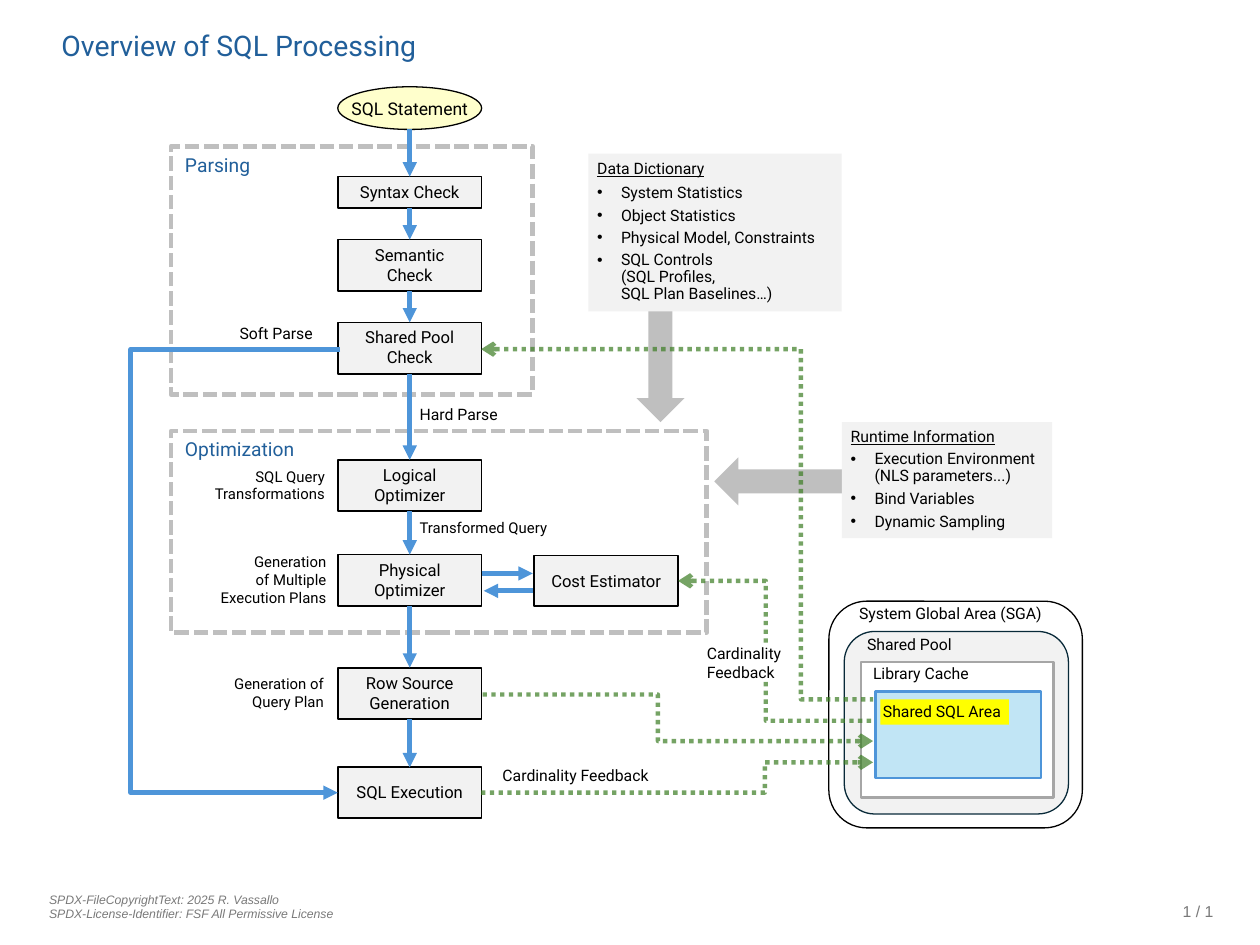
"""Build the SQL processing overview slide."""
from copy import deepcopy

from lxml.etree import SubElement
from pptx import Presentation
from pptx.dml.color import RGBColor
from pptx.enum.dml import MSO_LINE
from pptx.enum.shapes import MSO_CONNECTOR, MSO_SHAPE
from pptx.enum.text import MSO_ANCHOR, PP_ALIGN
from pptx.oxml.ns import qn
from pptx.util import Cm, Pt

hue = RGBColor.from_string
RECT, ROUND = MSO_SHAPE.RECTANGLE, MSO_SHAPE.ROUNDED_RECTANGLE
BLUE, GREEN, GRAY, PALE, NAVY = "4E95D9", "3B7D23", "BFBFBF", "F2F2F2", "215F9A"
LEFT, MID, RIGHT = PP_ALIGN.LEFT, PP_ALIGN.CENTER, PP_ALIGN.RIGHT

deck = Presentation()
deck.slide_width, deck.slide_height = Cm(25.4), Cm(19.05)
slide = deck.slides.add_slide(deck.slide_layouts[6])


def box(text, at, kind=None, fill=None, line=None, width=1, dash=None, size=9,
        color="000000", font="Roboto", slant=False, align=LEFT,
        anchor=MSO_ANCHOR.TOP, ins=(0, 0, 0, 0), wrap=True):
    place = [Cm(n) for n in at]
    if kind is None:
        shape = slide.shapes.add_textbox(*place)
    else:
        shape = slide.shapes.add_shape(kind, *place)
        shape.shadow.inherit = False
        if fill:
            shape.fill.solid()
            shape.fill.fore_color.rgb = hue(fill)
        else:
            shape.fill.background()
        if line:
            shape.line.color.rgb = hue(line)
            shape.line.width = Pt(width)
            shape.line.dash_style = dash
        else:
            shape.line.fill.background()
    if not text:
        return shape
    frame = shape.text_frame
    frame.text = text
    frame.word_wrap = wrap
    frame.vertical_anchor = anchor
    (frame.margin_left, frame.margin_top,
     frame.margin_right, frame.margin_bottom) = [Cm(n) for n in ins]
    for para in frame.paragraphs:
        para.alignment = align
        for run in para.runs:
            run.font.size = Pt(size)
            run.font.name = font
            run.font.italic = slant
            run.font.color.rgb = hue(color)
        for gap in para._p.findall(qn("a:br")):
            gap.append(deepcopy(para.runs[0]._r.rPr))
    return shape


def wire(start, end, bend=None, color=BLUE, width=2.75, dash=None,
         tip="tailEnd", form="triangle", alpha=None):
    kind = MSO_CONNECTOR.STRAIGHT if bend is None else MSO_CONNECTOR.ELBOW
    line = slide.shapes.add_connector(kind, *[Cm(n) for n in start + end])
    if bend is not None:
        ratio = (bend - start[0]) / (end[0] - start[0])
        line.adjust = None
        geom = line._element.spPr.find(qn("a:prstGeom"))
        guides = geom.find(qn("a:avLst"))
        if guides is None:
            guides = SubElement(geom, qn("a:avLst"))
        SubElement(guides, qn("a:gd"), name="adj1", fmla=f"val {round(ratio * 100000)}")
    line.line.color.rgb = hue(color)
    line.line.width = Pt(width)
    line.line.dash_style = dash
    stroke = line.line._get_or_add_ln()
    if alpha:
        shade = stroke.find(".//" + qn("a:srgbClr"))
        SubElement(shade, qn("a:alpha"), val=str(alpha * 1000))
    SubElement(stroke, qn("a:" + tip), type=form)
    SubElement(line._element.spPr, qn("a:effectLst"))
    return line


box("", (15.39, 8.23, 0.97, 2.95), MSO_SHAPE.DOWN_ARROW, GRAY).rotation = 90
box("", (12.83, 5.56, 0.97, 2.95), MSO_SHAPE.DOWN_ARROW, GRAY)
for area in (3.45, 2.95, 7.29, 5), (3.45, 8.69, 10.8, 4.06):
    box("", area, RECT, line=GRAY, width=2.75, dash=MSO_LINE.SQUARE_DOT)

box("Overview of SQL Processing", (0.99, 0.51, 23.47, 0.81), size=16.2, color=NAVY,
    anchor=MSO_ANCHOR.MIDDLE, ins=(0.25, 0.13, 0.25, 0.13))
foot = dict(font="Arial", color="797979", anchor=MSO_ANCHOR.BOTTOM)
box("SPDX-FileCopyrightText: 2025 R. Vassallo\n"
    "SPDX-License-Identifier: FSF All Permissive License",
    (0.99, 17.93, 7.34, 0.64), size=7, slant=True, ins=(0, 0.13, 0, 0), **foot)
box("1 / 1", (22.94, 17.93, 1.52, 0.64), align=RIGHT, **foot)
box("Parsing", (3.73, 3.1, 1.42, 0.48), size=11, color=NAVY)
box("Optimization", (3.73, 8.81, 2.26, 0.48), size=11, color=NAVY)

box("", (16.71, 12.12, 5.11, 4.57), ROUND, line="000000", width=0.75)
box("", (17.02, 12.73, 4.52, 3.68), ROUND, PALE, "092A39", 0.75)
box("", (17.35, 13.34, 3.89, 2.74), RECT, "FFFFFF", "A6A6A6", 1.25)
box("System Global Area (SGA)", (17.32, 12.17, 3.89, 0.38))
box("Shared Pool", (17.48, 12.8, 2.21, 0.38))
box("Library Cache", (17.6, 13.39, 2.08, 0.38))

box("SQL Statement", (6.81, 1.75, 2.9, 0.86), MSO_SHAPE.OVAL, "FFFFCC", "000000",
    0.75, size=10, align=MID, anchor=MSO_ANCHOR.MIDDLE, wrap=False)
look = dict(kind=RECT, fill=PALE, line="000000", size=9.5, align=MID)
steps = []
for name, top, high in (
        ("Syntax Check", 3.56, 0.64), ("Semantic Check", 4.83, 1.04),
        ("Shared Pool Check", 6.5, 1.04), ("Logical Optimizer", 9.27, 1.04),
        ("Physical Optimizer", 11.18, 1.04), ("Row Source Generation", 13.46, 1.04)):
    steps.append(box(name, (6.81, top, 2.9, high), ins=(0.27, 0.1, 0.27, 0.13), **look))
for name, left, top in ("SQL Execution", 6.81, 15.47), ("Cost Estimator", 10.77, 11.2):
    last = box(name, (left, top, 2.9, 1.02), ins=(0, 0.3, 0, 0.3), **look)
    if left == 6.81:
        steps.append(last)

wire((8.26, 2.61), (8.26, 3.56)).end_connect(steps[0], 0)
for above, below in zip(steps, steps[1:]):
    link = wire((8.26, 0), (8.26, 1))
    link.begin_connect(above, 2)
    link.end_connect(below, 0)
wire((9.71, 11.56), (10.74, 11.56))
wire((10.74, 11.91), (9.75, 11.91))
wire((6.86, 7.04), (6.81, 15.98), 2.64)
for start, end, bend, tip in (
        ((9.7, 7.04), (17.6, 14.1), 16.15, "headEnd"),
        ((13.67, 11.71), (17.6, 14.53), 15.44, "headEnd"),
        ((9.73, 14), (17.6, 14.94), 13.26, "tailEnd"),
        ((9.7, 15.98), (17.6, 15.37), 15.42, "tailEnd")):
    wire(start, end, bend, GREEN, 2.5, MSO_LINE.ROUND_DOT, tip, "arrow", 70)

box("", (17.65, 13.94, 3.33, 1.75), RECT, "C1E5F5", BLUE, 1.25)
box("Shared SQL Area", (17.75, 14.1, 2.59, 0.51), RECT, "FFFF00",
    ins=(0.05, 0.05, 0.05, 0.08))
for text, at, size, align in (
        ("Soft Parse", (4.83, 6.53, 1.55, 0.38), 9, LEFT),
        ("Hard Parse", (8.46, 8.15, 1.88, 0.38), 9, LEFT),
        ("Transformed Query", (8.46, 10.46, 2.9, 0.36), 8.5, LEFT),
        ("SQL Query Transformations", (4.09, 9.42, 2.46, 0.76), 8.5, RIGHT),
        ("Generation\vof Multiple\vExecution Plans", (4.24, 11.15, 2.34, 1.12), 8.5, RIGHT),
        ("Generation of Query Plan", (4.19, 13.61, 2.34, 0.76), 8.5, RIGHT),
        ("Cardinality Feedback", (10.13, 15.44, 3.05, 0.38), 9, LEFT),
        ("Cardinality\nFeedback", (14.25, 12.98, 1.68, 0.76), 9, LEFT)):
    box(text, at, RECT, "FFFFFF", size=size, align=align)

for text, at in (
        ("Data Dictionary\nSystem Statistics\nObject Statistics\n"
         "Physical Model, Constraints\n"
         "SQL Controls\v(SQL Profiles,\vSQL Plan Baselines…)", (11.86, 3.1, 5.11, 3.18)),
        ("Runtime Information\nExecution Environment (NLS parameters...)\n"
         "Bind Variables\nDynamic Sampling", (16.97, 8.51, 4.24, 2.34))):
    panel = box(text, at, RECT, PALE, ins=(0.18, 0.1, 0.25, 0.13))
    head, *items = panel.text_frame.paragraphs
    head.runs[0].font.underline = True
    for item in items:
        long = len(item.text) > 30
        item.space_before = Pt(3 if long or item is items[0] else 2)
        if long:
            item.line_spacing = 0.9
        props = item._p.get_or_add_pPr()
        props.set("marL", str(Cm(0.48)))
        props.set("indent", str(-Cm(0.48)))
        SubElement(props, qn("a:buFont"), typeface="Arial")
        SubElement(props, qn("a:buChar"), char="•")

deck.save("out.pptx")
